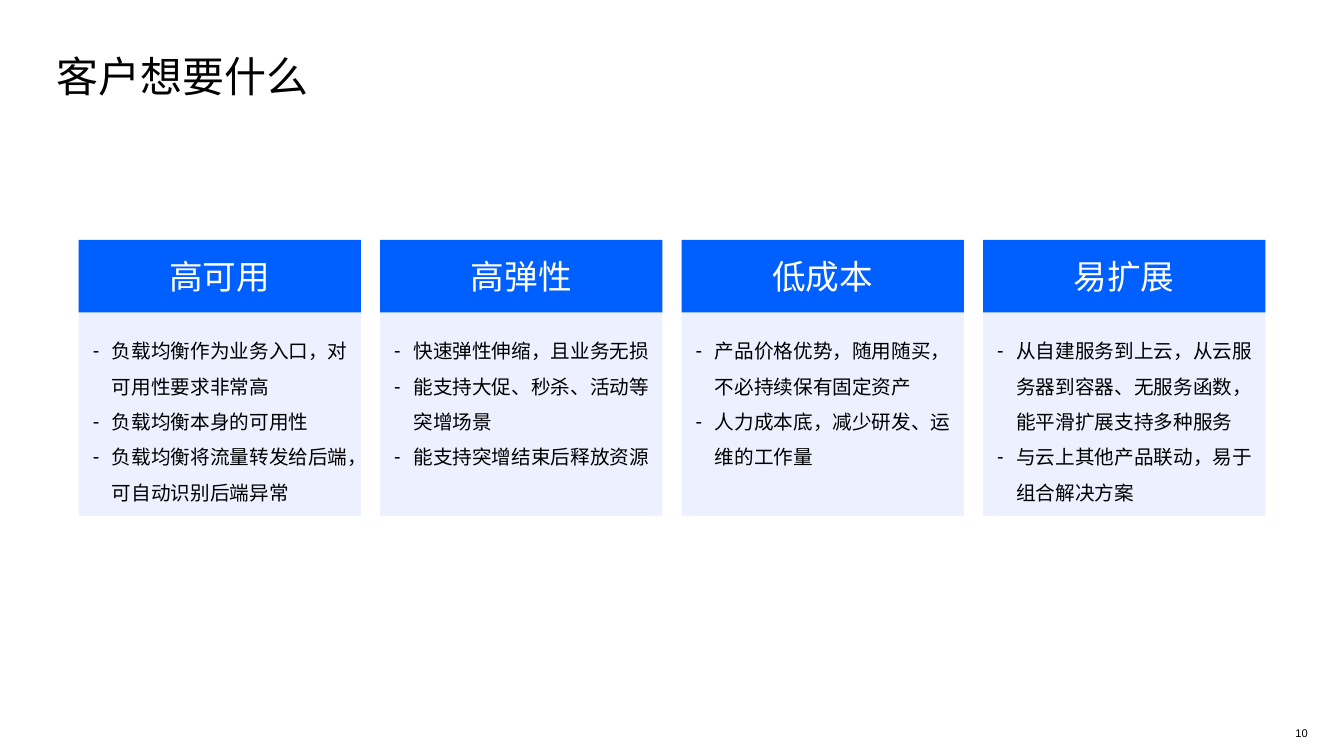
from lxml import etree
from pptx import Presentation
from pptx.dml.color import RGBColor
from pptx.enum.shapes import MSO_SHAPE
from pptx.enum.text import MSO_ANCHOR, PP_ALIGN
from pptx.oxml.ns import qn
from pptx.util import Inches, Pt

RECT = MSO_SHAPE.RECTANGLE
TOP, MIDDLE = MSO_ANCHOR.TOP, MSO_ANCHOR.MIDDLE
LEFT, CENTER = PP_ALIGN.LEFT, PP_ALIGN.CENTER

TITLE = "客户想要什么"
PAGE_NUMBER = "10"
CARDS = [
    ("高可用", ["负载均衡作为业务入口，对可用性要求非常高",
             "负载均衡本身的可用性",
             "负载均衡将流量转发给后端，可自动识别后端异常"]),
    ("高弹性", ["快速弹性伸缩，且业务无损",
             "能支持大促、秒杀、活动等突增场景",
             "能支持突增结束后释放资源"]),
    ("低成本", ["产品价格优势，随用随买，不必持续保有固定资产",
             "人力成本底，减少研发、运维的工作量"]),
    ("易扩展", ["从自建服务到上云，从云服务器到容器、无服务函数，能平滑扩展支持多种服务",
             "与云上其他产品联动，易于组合解决方案"]),
]

BLUE, PALE, BLACK, WHITE = "0060FF", "EDF1FF", "000000", "FFFFFF"
TITLE_FONT, BODY_FONT, NUMBER_FONT = "Noto Sans CJK JP", "Noto Sans CJK SC", "Arial"
CARD_LEFT, CARD_STEP, CARD_WIDTH = 0.78, 2.99, 2.8
HEADER_TOP, HEADER_HEIGHT = 2.38, 0.72
PANEL_TOP, PANEL_HEIGHT = 2.39, 2.73
TEXT_INSET, TEXT_TOP, TEXT_WIDTH, TEXT_HEIGHT = 0.14, 3.25, 2.55, 1.73
BULLET_INDENT = 0.19


def rgb(value):
    return RGBColor.from_string(value)


def add_dash(p):
    """Give the paragraph a hanging dash bullet."""
    pPr = p._p.get_or_add_pPr()
    pPr.set("marL", str(Inches(BULLET_INDENT)))
    pPr.set("indent", str(-Inches(BULLET_INDENT)))
    etree.SubElement(pPr, qn("a:buFont")).set("typeface", "Arial")
    etree.SubElement(pPr, qn("a:buChar")).set("char", "-")


def write(shape, lines, size, font, color, align=LEFT, anchor=TOP,
          spacing=None, dashed=False, wrap=True):
    tf = shape.text_frame
    tf.margin_left = tf.margin_right = tf.margin_top = tf.margin_bottom = 0
    tf.word_wrap = wrap
    tf.vertical_anchor = anchor
    for i, line in enumerate(lines):
        p = tf.add_paragraph() if i else tf.paragraphs[0]
        p.text = line
        p.alignment = align
        if spacing:
            p.line_spacing = spacing
        if dashed:
            add_dash(p)
        for r in p.runs:
            r.font.size = Pt(size)
            r.font.color.rgb = rgb(color)
            r.font.name = font
            etree.SubElement(r.font._element, qn("a:ea")).set("typeface", font)


def add_block(s, left, top, width, height, fill):
    sp = s.shapes.add_shape(RECT, Inches(left), Inches(top), Inches(width), Inches(height))
    sp.shadow.inherit = False
    sp.fill.solid()
    sp.fill.fore_color.rgb = rgb(fill)
    sp.line.fill.background()
    return sp


def add_text(s, left, top, width, height):
    return s.shapes.add_textbox(Inches(left), Inches(top), Inches(width), Inches(height))


def add_card(s, left, heading, points):
    add_block(s, left, PANEL_TOP, CARD_WIDTH, PANEL_HEIGHT, PALE)
    header = add_block(s, left, HEADER_TOP, CARD_WIDTH, HEADER_HEIGHT, BLUE)
    write(header, [heading], 24, BODY_FONT, WHITE, CENTER, MIDDLE)
    body = add_text(s, left + TEXT_INSET, TEXT_TOP, TEXT_WIDTH, TEXT_HEIGHT)
    write(body, points, 14, BODY_FONT, BLACK, spacing=1.5, dashed=True)


def main():
    prs = Presentation()
    prs.slide_width, prs.slide_height = Inches(13.33), Inches(7.5)
    s = prs.slides.add_slide(prs.slide_layouts[5])

    title = s.shapes.title
    title.left, title.top = Inches(0.56), Inches(0.4)
    title.width, title.height = Inches(7.23), Inches(0.56)
    write(title, [TITLE], 30, TITLE_FONT, BLACK, spacing=1.2)

    for i, (heading, points) in enumerate(CARDS):
        add_card(s, CARD_LEFT + i * CARD_STEP, heading, points)

    number = add_text(s, 12.79, 7.15, 0.24, 0.25)
    write(number, [PAGE_NUMBER], 8, NUMBER_FONT, BLACK, CENTER, MIDDLE, wrap=False)
    prs.save("out.pptx")


if __name__ == "__main__":
    main()
